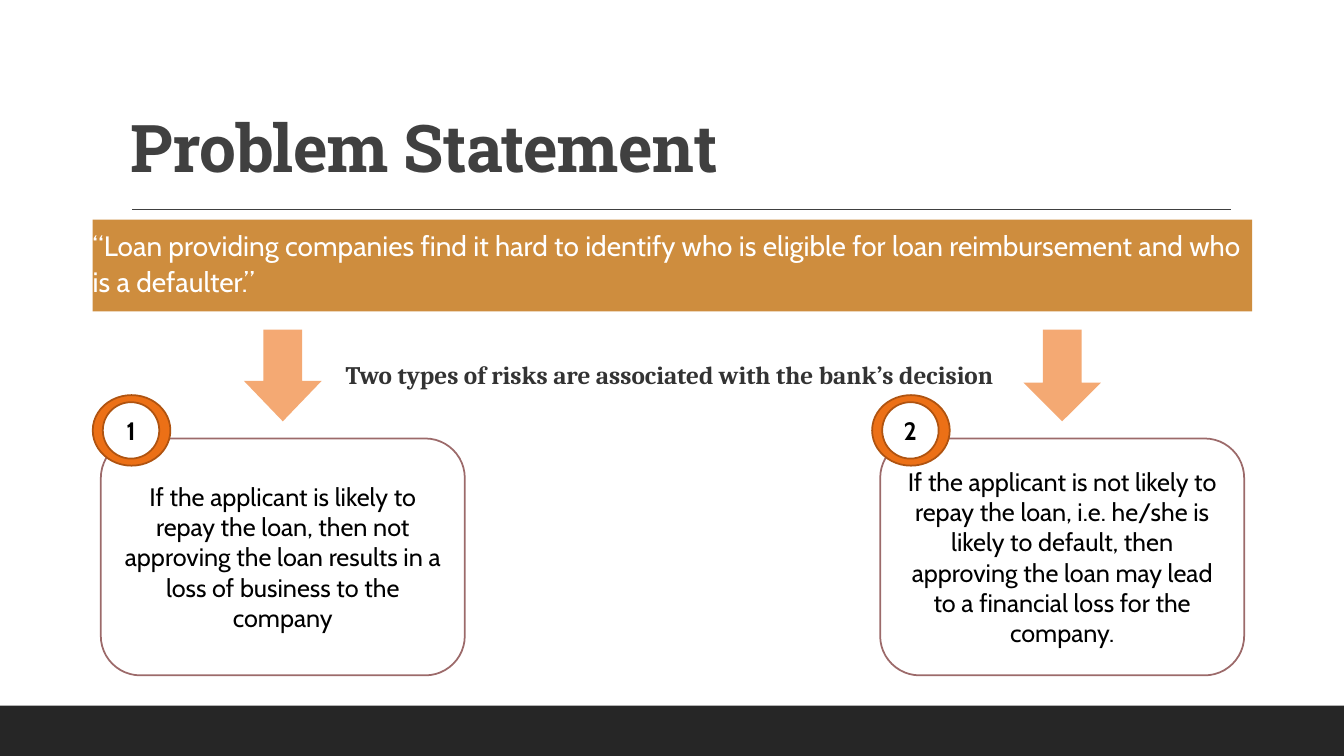
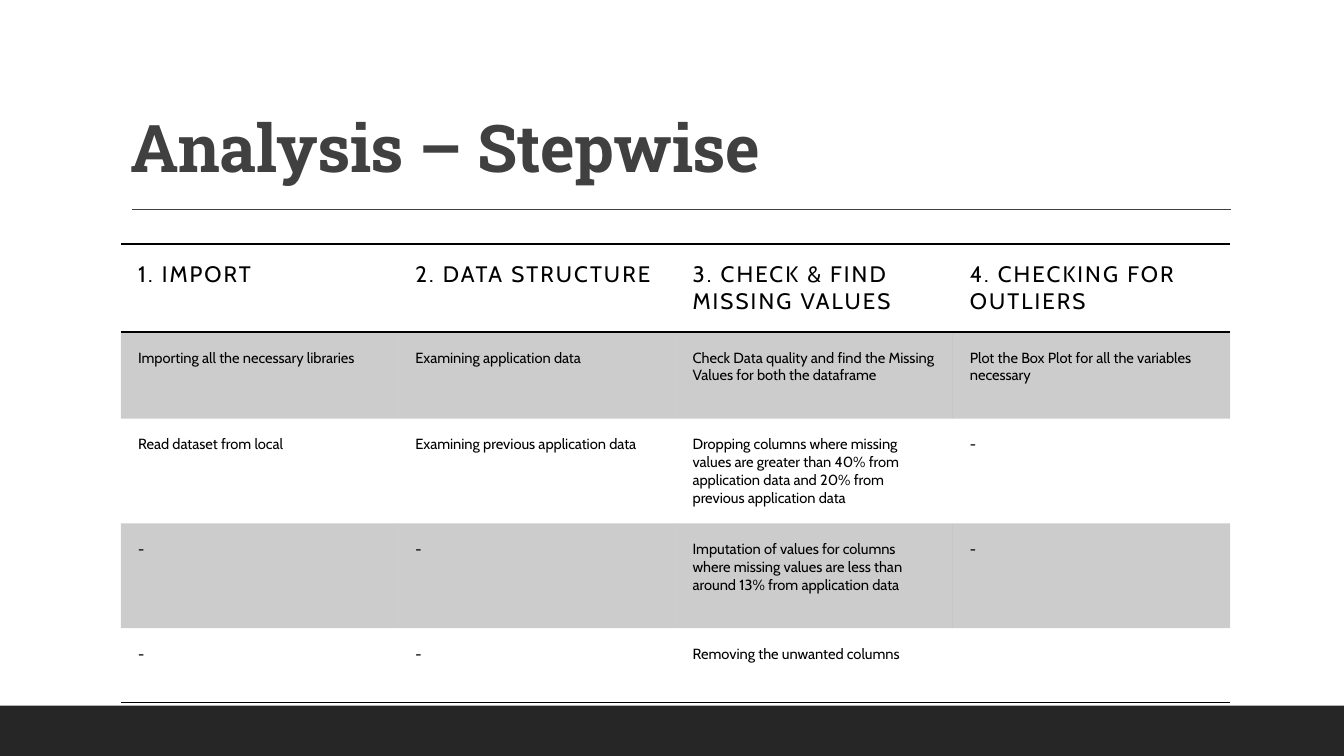
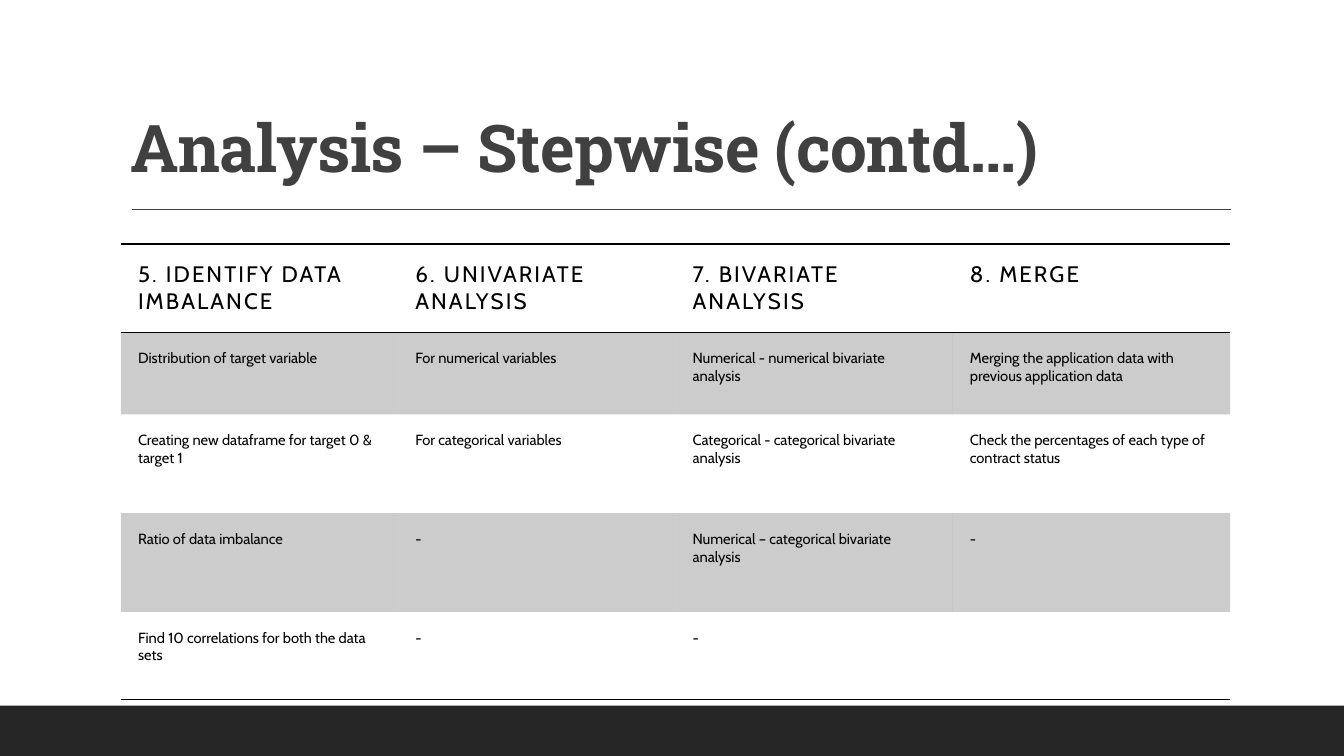
import dataclasses
import typing

import lxml.etree
import pptx
import pptx.dml.color
import pptx.enum.shapes
import pptx.enum.text
import pptx.oxml.ns
import pptx.util

Inches = pptx.util.Inches
Pt = pptx.util.Pt
SHAPE = pptx.enum.shapes.MSO_SHAPE
ALIGN = pptx.enum.text.PP_ALIGN
ANCHOR = pptx.enum.text.MSO_ANCHOR
qn = pptx.oxml.ns.qn

COLORS = {
    "black": "000000", "white": "FFFFFF", "band": "262626", "rule": "404040",
    "quote": "CE8D3E", "arrow": "F4A973", "card": "9C6A6A", "ring": "EC7016",
    "edge": "AF5310", "lead": "333333",
}
PLAIN_GRID = "{2D5ABB26-0587-4C30-8999-92F81FD0307C}"
PAD = 0.17


@dataclasses.dataclass(frozen=True)
class Style:
    size: float
    color: str = "black"
    name: str = "Cabin"
    bold: bool = False
    spacing: float = 0


@dataclasses.dataclass(frozen=True)
class Risk:
    mark: str
    text: str
    head: float


@dataclasses.dataclass(frozen=True)
class Steps:
    title: str
    heights: tuple[float, ...]
    rows: tuple[tuple[str, ...], ...]


TITLE = Style(47, "rule", "Roboto Slab", True, -0.5)
QUOTE = Style(20, "white")
LEAD = Style(18, "lead", "Cambria", True)
CARD = Style(18)
MARK = Style(18, bold=True)
HEAD = Style(16, spacing=1.5)
CELL = Style(10.5)

RISKS = (
    Risk("1", "If the applicant is likely to repay the loan, then not approving the loan "
         "results in a loss of business to the company", 0.52),
    Risk("2", "If the applicant is not likely to repay the loan, i.e. he/she is likely to "
         "default, then approving the loan may lead to a financial loss for the company.", 0.5),
)
RISK_STEP = 7.73

STEPS = (
    Steps("Analysis – Stepwise", (0.86, 0.86, 1.04, 1.04, 0.74), (
        ("1. IMPORT", "2. DATA STRUCTURE", "3. CHECK & FIND MISSING VALUES",
         "4. CHECKING FOR OUTLIERS"),
        ("Importing all the necessary libraries", "Examining application data",
         "Check Data quality and find the Missing Values for both the dataframe",
         "Plot the Box Plot for all the variables necessary"),
        ("Read dataset from local", "Examining previous application data",
         "Dropping columns where missing values are greater than 40% from application "
         "data and 20% from previous application data", "-"),
        ("-", "-", "Imputation of values for columns where missing values are less than "
         "around 13% from application data", "-"),
        ("-", "-", "Removing the unwanted columns", ""),
    )),
    Steps("Analysis – Stepwise (contd…)", (0.88, 0.81, 0.98, 0.98, 0.87), (
        ("5. IDENTIFY DATA IMBALANCE", "6. UNIVARIATE ANALYSIS",
         "7. BIVARIATE ANALYSIS", "8. MERGE"),
        ("Distribution of target variable", "For numerical variables",
         "Numerical - numerical bivariate analysis",
         "Merging the application data with previous application data"),
        ("Creating new dataframe for target 0 & target 1", "For categorical variables",
         "Categorical - categorical bivariate analysis",
         "Check the percentages of each type of contract status"),
        ("Ratio of data imbalance", "-", "Numerical – categorical bivariate analysis", "-"),
        ("Find 10 correlations for both the data sets", "-", "-", ""),
    )),
)


def tint(name: str) -> pptx.dml.color.RGBColor:
    return pptx.dml.color.RGBColor.from_string(COLORS[name])


def assign(target: typing.Any, values: dict[str, typing.Any]) -> None:
    for key, value in values.items():
        setattr(target, key, value)


def write(frame: typing.Any, text: str, style: Style, **layout: typing.Any) -> None:
    line = frame.paragraphs[0]
    assign(line, layout)
    run = line.add_run()
    run.text = text
    assign(run.font, {"size": Pt(style.size), "name": style.name, "bold": style.bold})
    run.font.color.rgb = tint(style.color)
    if style.spacing:
        run._r.get_or_add_rPr().set("spc", str(round(style.spacing * 100)))


def add_box(slide: typing.Any, kind: typing.Any, place: tuple[float, ...],
            fill: str, edge: str = "") -> typing.Any:
    box = slide.shapes.add_shape(kind, *map(Inches, place))
    box.shadow.inherit = False
    box.fill.solid()
    box.fill.fore_color.rgb = tint(fill)
    if edge:
        box.line.color.rgb = tint(edge)
        box.line.width = Pt(1.25)
    else:
        box.line.fill.background()
    assign(box.text_frame, {"word_wrap": True, "vertical_anchor": ANCHOR.MIDDLE})
    return box


def add_text(slide: typing.Any, place: tuple[float, ...], text: str, style: Style,
             anchor: typing.Any = ANCHOR.TOP, **layout: typing.Any) -> None:
    frame = slide.shapes.add_textbox(*map(Inches, place)).text_frame
    assign(frame, {"word_wrap": True, "vertical_anchor": anchor})
    write(frame, text, style, **layout)


def add_page(deck: typing.Any, title: str) -> typing.Any:
    slide = deck.slides.add_slide(deck.slide_layouts[6])
    add_box(slide, SHAPE.RECTANGLE, (0, 7, 13.33, 0.5), "band")
    rule = slide.shapes.add_connector(
        pptx.enum.shapes.MSO_CONNECTOR.STRAIGHT, *map(Inches, (1.31, 2.08, 12.21, 2.08)))
    rule.line.color.rgb = tint("rule")
    rule.line.width = Pt(1)
    lxml.etree.SubElement(rule._element.spPr, qn("a:effectLst"))
    add_text(slide, (1.2, 0.31, 11, 1.59), title, TITLE, ANCHOR.BOTTOM, line_spacing=0.9)
    return slide


def add_risk(slide: typing.Any, risk: Risk, shift: float) -> None:
    arrow = add_box(slide, SHAPE.DOWN_ARROW, (2.42 + shift, 3.27, 0.77, 0.91), "arrow")
    arrow.adjustments[1] = risk.head
    card = add_box(slide, SHAPE.ROUNDED_RECTANGLE, (1 + shift, 4.35, 3.61, 2.35),
                   "white", "card")
    write(card.text_frame, risk.text, CARD, alignment=ALIGN.CENTER)
    add_box(slide, SHAPE.OVAL, (0.92 + shift, 3.92, 0.77, 0.7), "ring", "edge")
    mark = add_box(slide, SHAPE.OVAL, (1.02 + shift, 3.99, 0.56, 0.56), "white", "edge")
    write(mark.text_frame, risk.mark, MARK, alignment=ALIGN.CENTER)


def add_risks(deck: typing.Any) -> None:
    slide = add_page(deck, "Problem Statement")
    quote = add_box(slide, SHAPE.RECTANGLE, (0.92, 2.18, 11.5, 0.91), "quote").text_frame
    assign(quote, {"margin_left": 0, "margin_right": 0, "vertical_anchor": ANCHOR.TOP})
    write(quote, "“Loan providing companies find it hard to identify who is eligible for loan "
          "reimbursement and who is a defaulter.”", QUOTE,
          alignment=ALIGN.LEFT, line_spacing=1.1, space_after=Pt(2))
    add_text(slide, (3.33, 3.52, 6.67, 0.4),
             "Two types of risks are associated with the bank’s decision", LEAD)
    for index, risk in enumerate(RISKS):
        add_risk(slide, risk, index * RISK_STEP)


def add_edge(cell: typing.Any, side: str) -> None:
    edge = lxml.etree.SubElement(cell._tc.get_or_add_tcPr(), qn(f"a:{side}"),
                                 w=str(Pt(1)))
    fill = lxml.etree.SubElement(edge, qn("a:solidFill"))
    lxml.etree.SubElement(fill, qn("a:srgbClr"), val=COLORS["black"])


def shade(cell: typing.Any) -> None:
    cell.fill.solid()
    cell.fill.fore_color.rgb = tint("black")
    color = cell._tc.tcPr.find(".//" + qn("a:solidFill") + "/" + qn("a:srgbClr"))
    lxml.etree.SubElement(color, qn("a:alpha"), val="20000")


def add_steps(deck: typing.Any, steps: Steps) -> None:
    slide = add_page(deck, steps.title)
    count = len(steps.rows)
    table = slide.shapes.add_table(
        count, len(steps.rows[0]), *map(Inches, (1.2, 2.42, 11, sum(steps.heights)))).table
    assign(table, {"first_row": False, "horz_banding": False})
    table._tbl.tblPr.find(qn("a:tableStyleId")).text = PLAIN_GRID
    pads = {f"margin_{side}": Inches(PAD) for side in ("left", "top", "right", "bottom")}
    for row, texts in enumerate(steps.rows):
        table.rows[row].height = Inches(steps.heights[row])
        sides = {0: ("lnT", "lnB"), count - 1: ("lnB",)}.get(row, ())
        for column, text in enumerate(texts):
            cell = table.cell(row, column)
            assign(cell, pads)
            for side in sides:
                add_edge(cell, side)
            if row % 2:
                shade(cell)
            else:
                cell.fill.background()
            if text:
                write(cell.text_frame, text, CELL if row else HEAD)


def main() -> None:
    deck = pptx.Presentation()
    assign(deck, {"slide_width": Inches(13.33), "slide_height": Inches(7.5)})
    add_risks(deck)
    for steps in STEPS:
        add_steps(deck, steps)
    deck.save("out.pptx")


if __name__ == "__main__":
    main()
